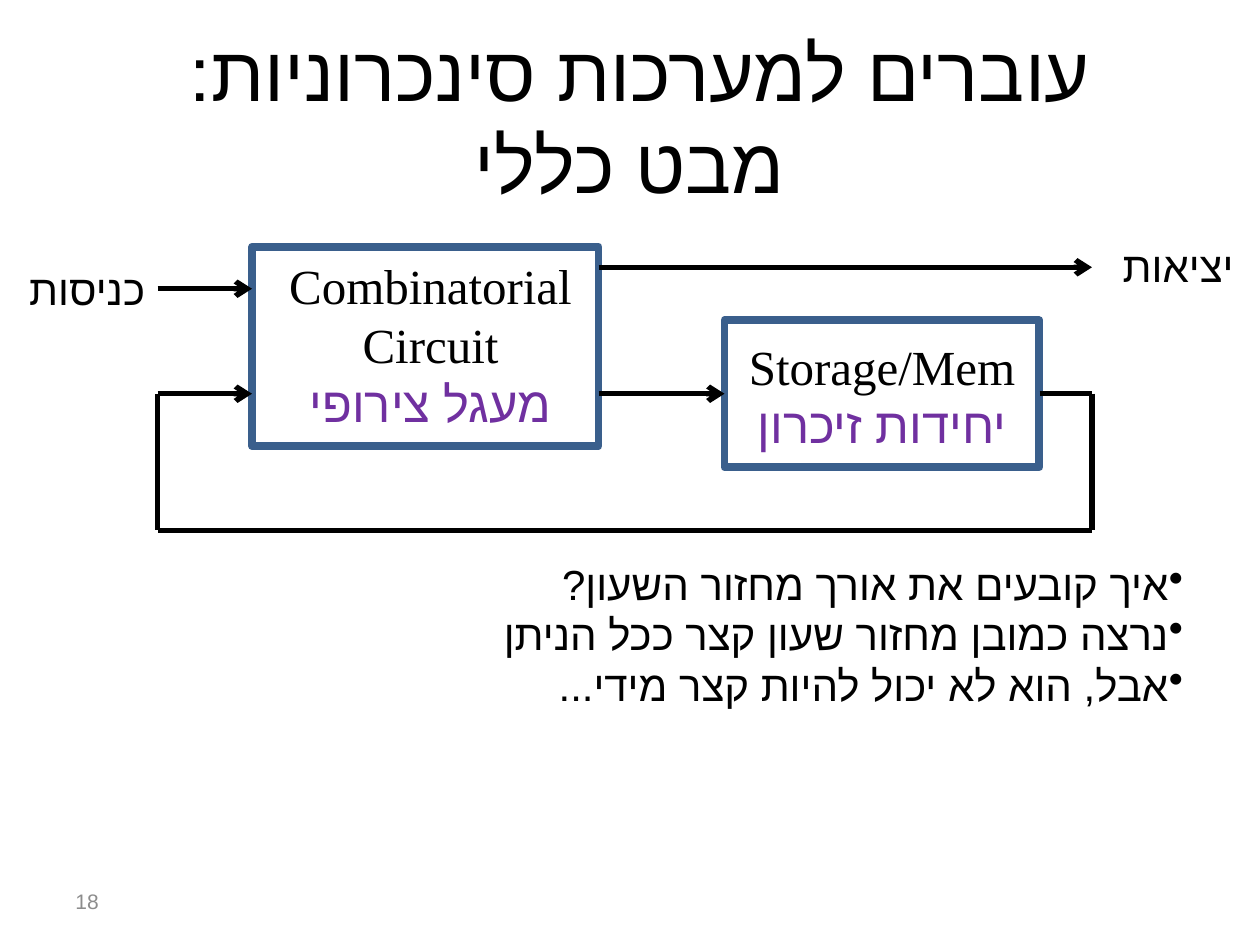
from dataclasses import dataclass

from lxml import etree
from pptx import Presentation
from pptx.dml.color import RGBColor
from pptx.enum.shapes import MSO_CONNECTOR, MSO_SHAPE
from pptx.enum.text import MSO_ANCHOR, MSO_AUTO_SIZE, PP_ALIGN
from pptx.oxml.ns import qn
from pptx.util import Pt

LEFT, CENTER, RIGHT = PP_ALIGN.LEFT, PP_ALIGN.CENTER, PP_ALIGN.RIGHT
TOP, MIDDLE = MSO_ANCHOR.TOP, MSO_ANCHOR.MIDDLE
GROW, FIXED = MSO_AUTO_SIZE.SHAPE_TO_FIT_TEXT, MSO_AUTO_SIZE.NONE
RECTANGLE, STRAIGHT = MSO_SHAPE.RECTANGLE, MSO_CONNECTOR.STRAIGHT
LEFT_SIDE, RIGHT_SIDE = 1, 3


@dataclass(frozen=True)
class Theme:
    ink: RGBColor = RGBColor(0x00, 0x00, 0x00)
    hebrew_name: RGBColor = RGBColor(0x70, 0x30, 0xA0)
    border: RGBColor = RGBColor(0x3A, 0x5F, 0x8C)
    number: RGBColor = RGBColor(0x8C, 0x8C, 0x8C)
    body_font: str = "Calibri"
    block_font: str = "Times New Roman"
    hebrew_font: str = "Arial"
    title_size: int = 44
    block_size: int = 28
    body_size: int = 24
    number_size: int = 12


theme = Theme()


def write_text(shape, lines, size, font=theme.body_font, colors=(theme.ink,),
               align=RIGHT, anchor=TOP, auto_size=GROW, bullet=None):
    """Write right-to-left paragraphs; the colours repeat in turn."""
    frame = shape.text_frame
    frame.word_wrap = True
    frame.auto_size = auto_size
    frame.vertical_anchor = anchor
    for index, line in enumerate(lines):
        paragraph = frame.paragraphs[0] if index == 0 else frame.add_paragraph()
        paragraph.text = line
        paragraph.alignment = align
        properties = paragraph._p.get_or_add_pPr()
        properties.set("rtl", "1")
        if bullet:
            etree.SubElement(properties, qn("a:buChar"), char=bullet)
        for run in paragraph.runs:
            run.font.size = Pt(size)
            run.font.name = font
            run.font.color.rgb = colors[index % len(colors)]
            etree.SubElement(run._r.get_or_add_rPr(), qn("a:cs"),
                             typeface=theme.hebrew_font)


def add_wire(start, end, arrow=False):
    wire = slide.shapes.add_connector(STRAIGHT, *map(Pt, start + end))
    wire.line.color.rgb = theme.ink
    wire.line.width = Pt(3)
    if arrow:
        etree.SubElement(wire.line._get_or_add_ln(), qn("a:tailEnd"), type="arrow")
    etree.SubElement(wire._element.spPr, qn("a:effectLst"))
    return wire


presentation = Presentation()
presentation.slide_width = Pt(720)
presentation.slide_height = Pt(540)
slide = presentation.slides.add_slide(presentation.slide_layouts[5])

title = slide.shapes.title
title.left, title.top, title.width, title.height = map(Pt, (36, 21.6, 648, 90))
write_text(title, ["עוברים למערכות סינכרוניות: \vמבט כללי"], theme.title_size,
           align=CENTER, anchor=MIDDLE, auto_size=FIXED)

# Circuit blocks: border, text area, English and Hebrew names
blocks = [
    ((144, 141, 198, 114), (150, 142.5, 192, 109),
     ["Combinatorial Circuit", "מעגל צירופי"]),
    ((414, 183, 180, 84), (408, 188.5, 192, 75),
     ["Storage/Mem", "יחידות זיכרון"]),
]
block_shapes = []
for border_box, text_box, names in blocks:
    block = slide.shapes.add_shape(RECTANGLE, *map(Pt, border_box))
    block.shadow.inherit = False
    block.fill.background()
    block.line.color.rgb = theme.border
    block.line.width = Pt(4.5)
    block_shapes.append(block)
    label = slide.shapes.add_textbox(*map(Pt, text_box))
    write_text(label, names, theme.block_size, font=theme.block_font,
               colors=(theme.ink, theme.hebrew_name), align=CENTER)
storage = block_shapes[1]

# Inputs, outputs and the feedback loop through the storage
loop_left, loop_right, loop_bottom = 90, 624, 303
circuit_left, circuit_right = 144, 342
storage_left, storage_right = 414, 594
signal_y, input_y, output_y = 225, 165, 152.75

add_wire((loop_left, input_y), (circuit_left, input_y), arrow=True)
add_wire((circuit_right, output_y), (loop_right, output_y), arrow=True)
to_storage = add_wire((circuit_right, signal_y), (storage_left, signal_y), arrow=True)
to_storage.end_connect(storage, LEFT_SIDE)
from_storage = add_wire((storage_right, signal_y), (loop_right, signal_y))
from_storage.begin_connect(storage, RIGHT_SIDE)
add_wire((loop_right, signal_y), (loop_right, loop_bottom))
add_wire((loop_left, loop_bottom), (loop_right, loop_bottom))
add_wire((loop_left, signal_y), (loop_left, loop_bottom))
add_wire((loop_left, signal_y), (circuit_left, signal_y), arrow=True)

for name, left, top in (("כניסות", 0, 147), ("יציאות", 622, 134)):
    label = slide.shapes.add_textbox(Pt(left), Pt(top), Pt(90), Pt(36.5))
    write_text(label, [name], theme.body_size)

questions = slide.shapes.add_textbox(Pt(54), Pt(315.5), Pt(629.5), Pt(145.5))
write_text(questions, [
    "איך קובעים את אורך מחזור השעון?",
    "נרצה כמובן מחזור שעון קצר ככל הניתן",
    "אבל, הוא לא יכול להיות קצר מידי...",
], theme.body_size, bullet="•")

slide_number = slide.shapes.add_textbox(Pt(36), Pt(500.5), Pt(168), Pt(28.75))
write_text(slide_number, ["18"], theme.number_size, colors=(theme.number,),
           align=LEFT, anchor=MIDDLE, auto_size=FIXED)

presentation.save("out.pptx")
